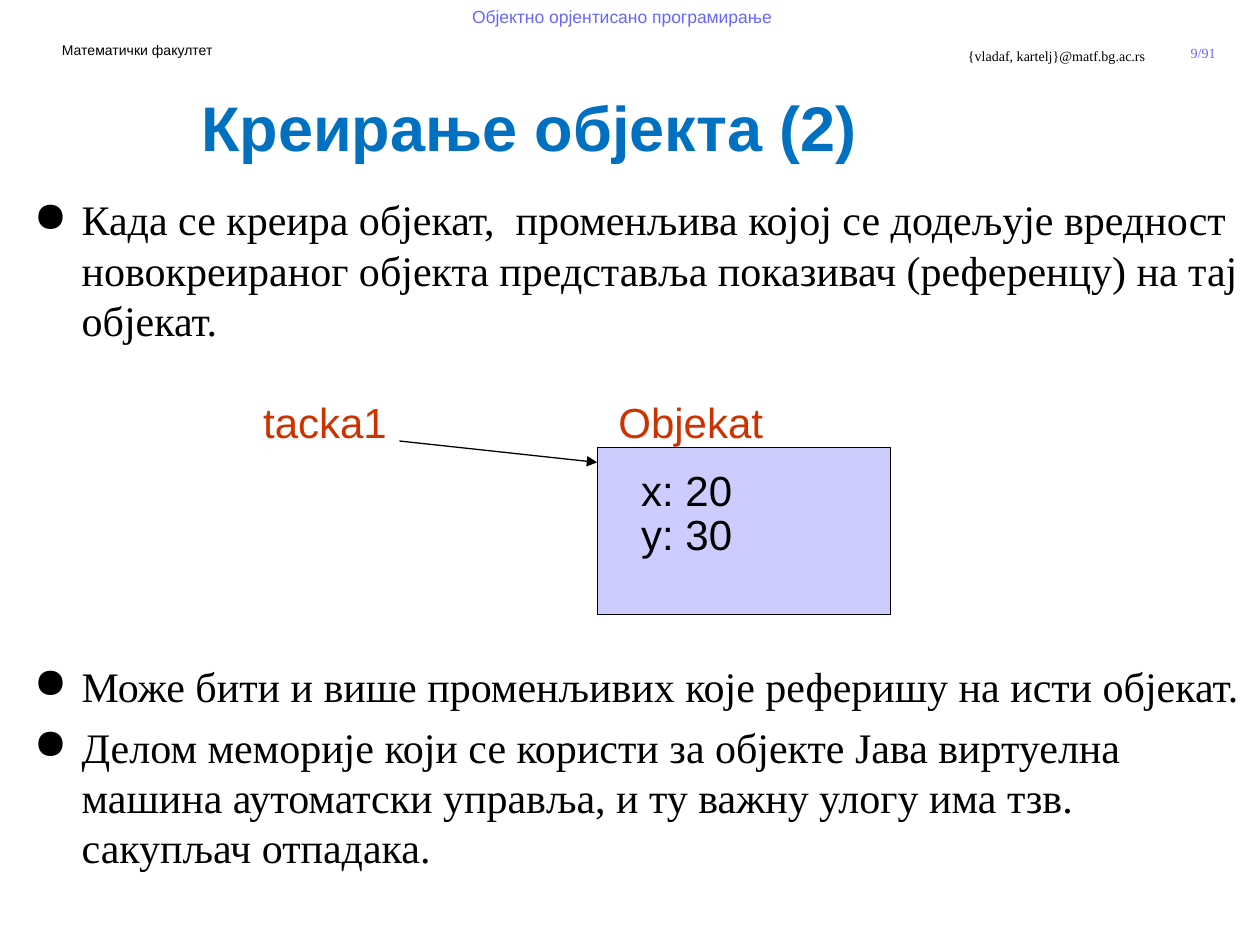
from pptx import Presentation
from pptx.dml.color import RGBColor
from pptx.enum.shapes import MSO_CONNECTOR as CONN, MSO_SHAPE as SHAPE
from pptx.enum.text import MSO_ANCHOR as ANCHOR, PP_ALIGN as ALIGN
from pptx.oxml.ns import qn
from pptx.util import Inches, Pt
from lxml.etree import SubElement

COLORS = {
    "text": "000000",
    "header": "6767FF",
    "title": "0070C0",
    "label": "CC3300",
    "object": "CCCCFF",
}
SERIF, SANS = "Times New Roman", "Arial"
BULLETS = [
    ("Када се креира објекат,  променљива којој се додељује вредност "
     "новокреираног објекта представља показивач (референцу) на тај објекат.", 6),
    ("Може бити и више променљивих које реферишу на исти објекат.", 180),
    ("Делом меморије који се користи за објекте Јава виртуелна машина аутоматски "
     "управља, и ту важну улогу има тзв. сакупљач отпадака.", 6),
]


def rgb(name):
    return RGBColor.from_string(COLORS[name])


def set_attrs(target, values):
    for name, value in values.items():
        setattr(target, name, value)


def add_text(slide, box, lines, size, font=SANS, color="text", bold=False,
             wrap=True, anchor=ANCHOR.TOP, **para):
    sp = slide.shapes.add_textbox(*map(Inches, box))
    tf = sp.text_frame
    set_attrs(tf, {"word_wrap": wrap, "vertical_anchor": anchor})
    for i, line in enumerate(lines):
        p = tf.add_paragraph() if i else tf.paragraphs[0]
        set_attrs(p, para)
        r = p.add_run()
        r.text = line
        set_attrs(r.font, {"size": Pt(size), "name": font, "bold": bold})
        r.font.color.rgb = rgb(color)
    return sp


def add_bullets(slide, box, items):
    sp = add_text(slide, box, [text for text, _ in items], 24, SERIF,
                  line_spacing=Pt(28.8))
    for p, (_, gap) in zip(sp.text_frame.paragraphs, items):
        p.space_before = Pt(gap)
        pPr = p._p.get_or_add_pPr()
        pPr.set("marL", str(Inches(0.38)))
        pPr.set("indent", str(-Inches(0.38)))
        SubElement(pPr, qn("a:buChar")).set("char", "●")


def add_rect(slide, box):
    sp = slide.shapes.add_shape(SHAPE.RECTANGLE, *map(Inches, box))
    sp.shadow.inherit = False
    sp.fill.solid()
    sp.fill.fore_color.rgb = rgb("object")
    sp.line.color.rgb = rgb("text")
    sp.line.width = Pt(0.75)


def add_arrow(slide, ends):
    line = slide.shapes.add_connector(CONN.STRAIGHT, *map(Inches, ends))
    line.line.color.rgb = rgb("text")
    line.line.width = Pt(0.75)
    SubElement(line.line._get_or_add_ln(), qn("a:tailEnd")).set("type", "triangle")
    SubElement(line._element.spPr, qn("a:effectLst"))


def add_header(slide):
    add_text(slide, (9.3, 0.3, 0.5, 0.24), ["9/91"], 8, SERIF, "header",
             wrap=False, anchor=ANCHOR.MIDDLE, alignment=ALIGN.CENTER)
    add_text(slide, (6.67, 0.33, 2.52, 0.5), ["{vladaf, kartelj}@matf.bg.ac.rs"],
             8, SERIF, alignment=ALIGN.RIGHT)
    add_text(slide, (0.38, 0.28, 1.42, 0.24), ["Математички факултет"], 8,
             wrap=False, alignment=ALIGN.CENTER)
    add_text(slide, (3.35, 0, 3.17, 0.5), ["Објектно орјентисано програмирање"],
             10, color="header", alignment=ALIGN.CENTER)


def add_diagram(slide):
    for left, label in ((1.99, "tacka1"), (4.81, "Objekat")):
        add_text(slide, (left, 3.1, 1.6, 0.48), [label], 24, color="label")
    add_rect(slide, (4.74, 3.55, 2.33, 1.33))
    add_text(slide, (4.99, 3.83, 1.67, 0.66), ["x: 20", "y: 30"], 24,
             line_spacing=0.45, space_before=Pt(12))
    add_arrow(slide, (3.17, 3.5, 4.74, 3.67))


def main():
    prs = Presentation()
    set_attrs(prs, {"slide_width": Inches(10), "slide_height": Inches(7.5)})
    slide = prs.slides.add_slide(prs.slide_layouts[6])
    add_header(slide)
    add_bullets(slide, (0.17, 1.49, 9.83, 5.13), BULLETS)
    add_diagram(slide)
    add_text(slide, (1.5, 0.65, 8.5, 0.95), ["Креирање објекта (2)"], 36,
             color="title", bold=True)
    prs.save("out.pptx")


if __name__ == "__main__":
    main()
